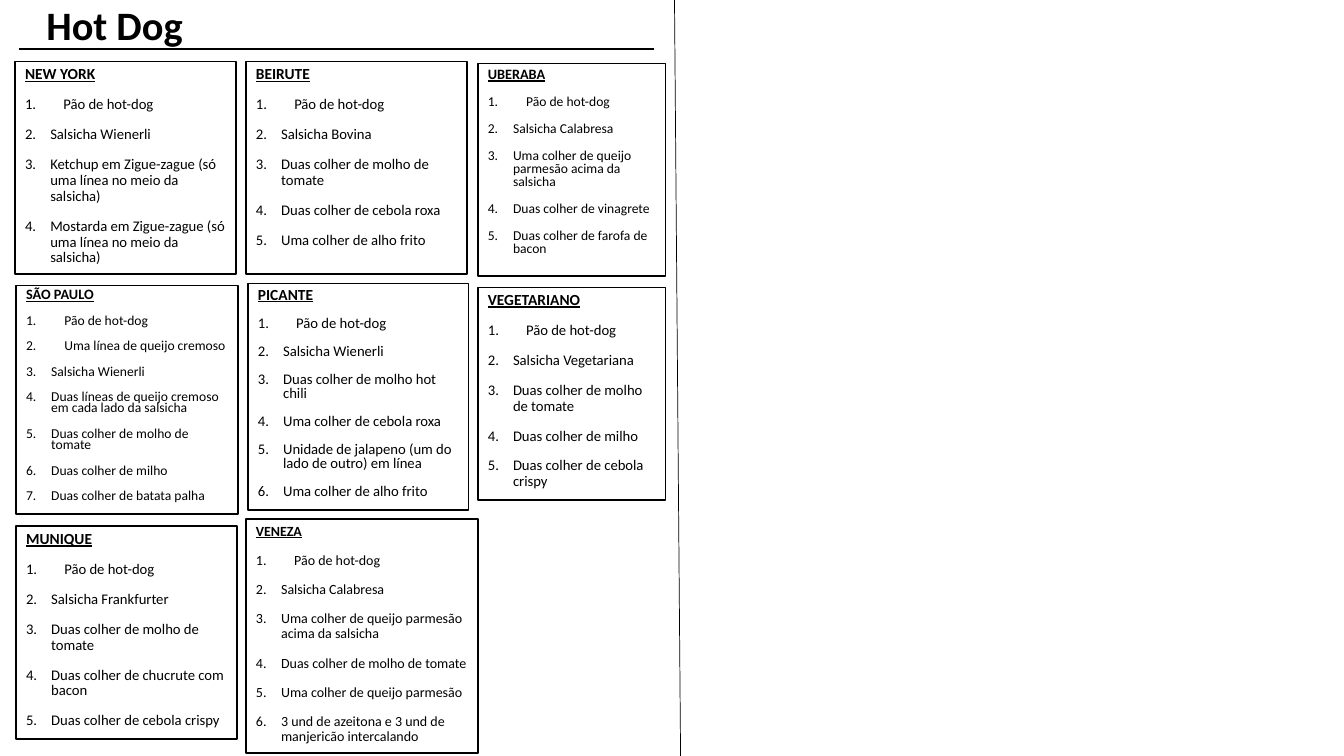
from lxml import etree
from pptx import Presentation
from pptx.dml.color import RGBColor
from pptx.enum.shapes import MSO_CONNECTOR, MSO_SHAPE
from pptx.enum.text import MSO_ANCHOR, MSO_AUTO_SIZE, PP_ALIGN
from pptx.oxml.ns import qn
from pptx.util import Inches, Pt

RECT = MSO_SHAPE.RECTANGLE
STRAIGHT = MSO_CONNECTOR.STRAIGHT
TOP, MIDDLE = MSO_ANCHOR.TOP, MSO_ANCHOR.MIDDLE
LEFT = PP_ALIGN.LEFT
NO_FIT = MSO_AUTO_SIZE.NONE

FONT = "Calibri"
COLORS = {"ink": "000000", "paper": "FFFFFF"}
BREAD = "Pão de hot-dog"
TOMATO = "Duas colher de molho de tomate"
CHEESE_LINE = "Uma línea de queijo cremoso"
WIDE_STEPS = {BREAD, CHEESE_LINE}

RECIPES = [
    ("NEW YORK", (0.15, 0.61, 2.19, 2.11), 11, 10.5, 0.9, [
        BREAD, "Salsicha Wienerli",
        "Ketchup em Zigue-zague (só uma línea no meio da salsicha)",
        "Mostarda em Zigue-zague (só uma línea no meio da salsicha)"]),
    ("BEIRUTE", (2.44, 0.61, 2.19, 2.11), 11, 10.5, 0.9, [
        BREAD, "Salsicha Bovina", TOMATO,
        "Duas colher de cebola roxa", "Uma colher de alho frito"]),
    ("SÃO PAULO", (0.16, 2.83, 2.2, 2.27), 10.2, 9.7, 0.7, [
        BREAD, CHEESE_LINE, "Salsicha Wienerli",
        "Duas líneas de queijo cremoso em cada lado da salsicha", TOMATO,
        "Duas colher de milho", "Duas colher de batata palha"]),
    ("PICANTE", (2.46, 2.81, 2.19, 2.25), 11, 10.5, 0.8, [
        BREAD, "Salsicha Wienerli", "Duas colher de molho hot chili",
        "Uma colher de cebola roxa",
        "Unidade de jalapeno (um do lado de outro) em línea",
        "Uma colher de alho frito"]),
    ("MUNIQUE", (0.16, 5.22, 2.19, 2.11), 11, 10.5, 0.9, [
        BREAD, "Salsicha Frankfurter", TOMATO,
        "Duas colher de chucrute com bacon", "Duas colher de cebola crispy"]),
    ("VENEZA", (2.44, 5.15, 2.3, 2.32), 10, 10, 0.9, [
        BREAD, "Salsicha Calabresa",
        "Uma colher de queijo parmesão acima da salsicha", TOMATO,
        "Uma colher de queijo parmesão",
        "3 und de azeitona e 3 und de manjericão intercalando"]),
    ("UBERABA", (4.74, 0.63, 1.86, 2.11), 10.2, 9.7, 0.8, [
        BREAD, "Salsicha Calabresa",
        "Uma colher de queijo parmesão acima da salsicha",
        "Duas colher de vinagrete", "Duas colher de farofa de bacon"]),
    ("VEGETARIANO", (4.74, 2.85, 1.86, 2.11), 11, 10.5, 0.9, [
        BREAD, "Salsicha Vegetariana", TOMATO,
        "Duas colher de milho", "Duas colher de cebola crispy"]),
]


def rgb(name):
    return RGBColor.from_string(COLORS[name])


def add_run(p, text, size, bold=False, underline=False):
    r = p.add_run()
    r.text = text
    r.font.name = FONT
    r.font.size = Pt(size)
    r.font.bold = bold
    r.font.underline = underline
    r.font.color.rgb = rgb("ink")


def add_rule(slide, x1, y1, x2, y2, width):
    line = slide.shapes.add_connector(
        STRAIGHT, Inches(x1), Inches(y1), Inches(x2), Inches(y2))
    line.line.color.rgb = rgb("ink")
    line.line.width = Pt(width)
    etree.SubElement(line._element.spPr, qn("a:effectLst"))


def number_step(p, indent):
    pPr = p._p.get_or_add_pPr()
    pPr.set("marL", str(Inches(indent)))
    pPr.set("indent", str(-Inches(indent)))
    etree.SubElement(pPr, qn("a:buFont"), typeface="+mj-lt")
    etree.SubElement(pPr, qn("a:buAutoNum"), type="arabicPeriod")


def add_recipe(slide, name, box, name_size, step_size, spacing, steps):
    sp = slide.shapes.add_shape(RECT, *map(Inches, box))
    sp.shadow.inherit = False
    sp.fill.solid()
    sp.fill.fore_color.rgb = rgb("paper")
    sp.line.color.rgb = rgb("ink")
    sp.line.width = Pt(1)
    tf = sp.text_frame
    tf.word_wrap = True
    tf.vertical_anchor = TOP
    for i, text in enumerate([name] + steps):
        p = tf.add_paragraph() if i else tf.paragraphs[0]
        p.alignment = LEFT
        p.line_spacing = spacing
        p.space_before = Pt(10)
        if i:
            number_step(p, 0.38 if text in WIDE_STEPS else 0.25)
            add_run(p, text, step_size)
        else:
            add_run(p, text, name_size, bold=True, underline=True)


def add_heading(slide, text, left, top, width, height):
    title = slide.shapes.title
    title.left, title.top = Inches(left), Inches(top)
    title.width, title.height = Inches(width), Inches(height)
    tf = title.text_frame
    tf.word_wrap = True
    tf.auto_size = NO_FIT
    tf.vertical_anchor = MIDDLE
    p = tf.paragraphs[0]
    p.alignment = LEFT
    p.line_spacing = 0.8
    add_run(p, text, 28.8, bold=True)


def main():
    prs = Presentation()
    prs.slide_width, prs.slide_height = Inches(13.33), Inches(7.5)
    slide = prs.slides.add_slide(prs.slide_layouts[5])
    add_rule(slide, 6.69, 0, 6.75, 7.5, 0.5)
    for recipe in RECIPES:
        add_recipe(slide, *recipe)
    add_heading(slide, "Hot Dog", 0.36, 0.02, 3.08, 0.53)
    add_rule(slide, 0.19, 0.49, 6.49, 0.49, 1.5)
    prs.save("out.pptx")


if __name__ == "__main__":
    main()
